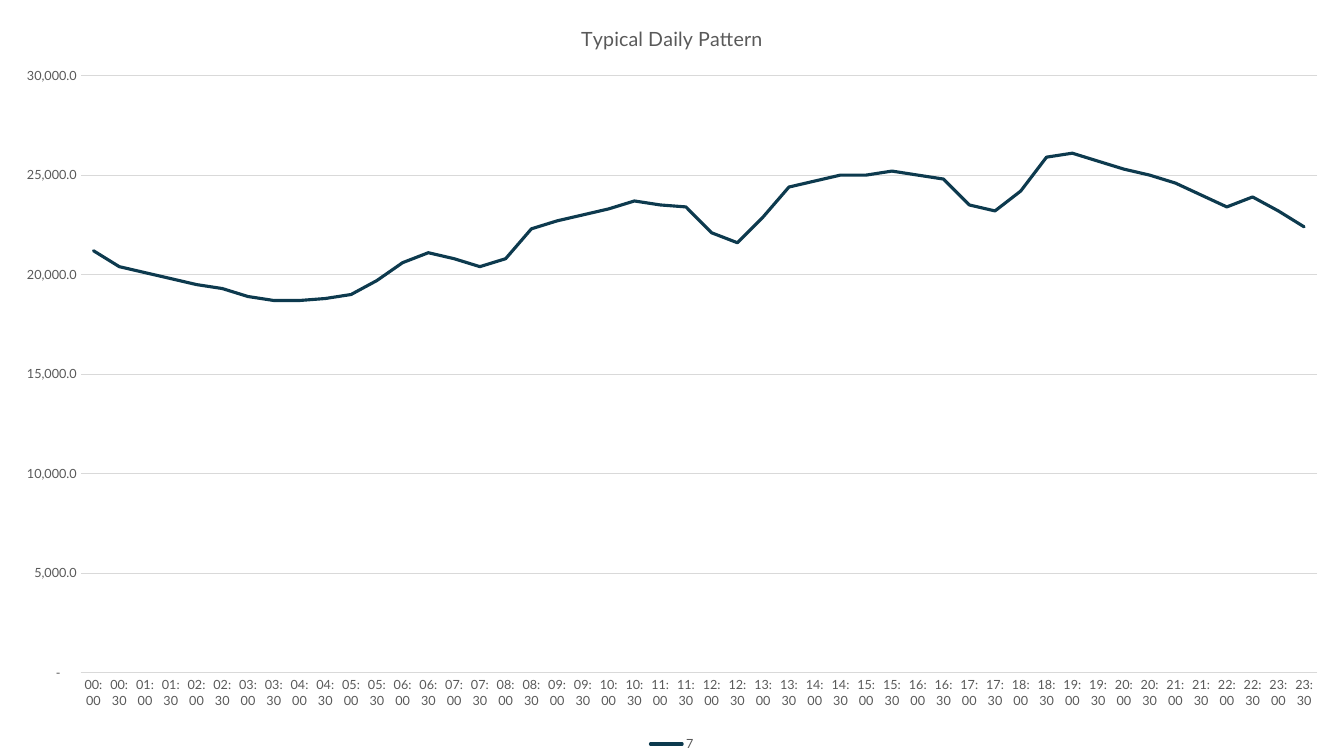
from dataclasses import dataclass

from pptx import Presentation
from pptx.chart.data import CategoryChartData
from pptx.dml.color import RGBColor
from pptx.enum.chart import XL_CHART_TYPE, XL_LEGEND_POSITION, XL_TICK_MARK
from pptx.oxml import parse_xml
from pptx.oxml.ns import nsdecls
from pptx.util import Inches, Pt

LINE_CHART = XL_CHART_TYPE.LINE
LEGEND_BOTTOM = XL_LEGEND_POSITION.BOTTOM
NO_TICK = XL_TICK_MARK.NONE

PAGE_WIDTH, PAGE_HEIGHT = 13.33, 7.5
PLOT_FRAME = {"x": 0.06, "y": 0.10, "w": 0.92, "h": 0.79}
TIMES = [f"{hour:02}:{minute:02}" for hour in range(24) for minute in (0, 30)]
LOADS = [
    21200, 20400, 20100, 19800, 19500, 19300, 18900, 18700,
    18700, 18800, 19000, 19700, 20600, 21100, 20800, 20400,
    20800, 22300, 22700, 23000, 23300, 23700, 23500, 23400,
    22100, 21600, 22900, 24400, 24700, 25000, 25000, 25200,
    25000, 24800, 23500, 23200, 24200, 25900, 26100, 25700,
    25300, 25000, 24600, 24000, 23400, 23900, 23200, 22400,
]


@dataclass(frozen=True)
class Theme:
    font: str = "Lato"
    text: str = "595959"
    grid: str = "D9D9D9"
    series: str = "0D3A4E"
    title_size: float = 14
    label_size: float = 9
    grid_width: float = 0.75
    series_width: float = 2.25


class PageBuilder:
    def __init__(self, page, theme):
        self.page = page
        self.theme = theme

    def style_font(self, font, size):
        font.name = self.theme.font
        font.size = Pt(size)
        font.bold = False
        font.color.rgb = RGBColor.from_string(self.theme.text)

    def style_line(self, line, color, width):
        line.color.rgb = RGBColor.from_string(color)
        line.width = Pt(width)

    def style_axis(self, axis):
        axis.major_tick_mark = NO_TICK
        axis.minor_tick_mark = NO_TICK
        self.style_font(axis.tick_labels.font, self.theme.label_size)

    def place_plot(self, chart, frame):
        plot_area = chart.element.xpath("c:chart/c:plotArea")[0]
        for layout in plot_area.xpath("c:layout"):
            plot_area.remove(layout)
        modes = "".join(f'<c:{side}Mode val="edge"/>' for side in "xy")
        sizes = "".join(f'<c:{key} val="{value}"/>' for key, value in frame.items())
        plot_area.insert(0, parse_xml(
            f'<c:layout {nsdecls("c")}><c:manualLayout><c:layoutTarget val="inner"/>'
            f"{modes}{sizes}</c:manualLayout></c:layout>"))

    def line_chart(self, title, name, categories, values, number_format, maximum, step):
        theme = self.theme
        data = CategoryChartData()
        data.categories = categories
        data.add_series(name, values)
        chart = self.page.shapes.add_chart(
            LINE_CHART, 0, 0, Inches(PAGE_WIDTH), Inches(PAGE_HEIGHT), data).chart
        self.style_font(chart.font, theme.label_size)

        chart.has_title = True
        chart.chart_title.include_in_layout = False
        para = chart.chart_title.text_frame.paragraphs[0]
        span = para.add_run()
        span.text = title
        self.style_font(span.font, theme.title_size)

        chart.has_legend = True
        chart.legend.position = LEGEND_BOTTOM
        chart.legend.include_in_layout = False
        self.style_font(chart.legend.font, theme.label_size)

        category_axis, value_axis = chart.category_axis, chart.value_axis
        self.style_axis(category_axis)
        self.style_line(category_axis.format.line, theme.grid, theme.grid_width)
        self.style_axis(value_axis)
        value_axis.format.line.fill.background()
        value_axis.minimum_scale = 0
        value_axis.maximum_scale = maximum
        value_axis.major_unit = step
        value_axis.has_major_gridlines = True
        self.style_line(value_axis.major_gridlines.format.line, theme.grid, theme.grid_width)
        value_axis.tick_labels.number_format = number_format
        value_axis.tick_labels.number_format_is_linked = False

        plot = chart.plots[0]
        plot.vary_by_categories = False
        series = plot.series[0]
        series.smooth = False
        self.style_line(series.format.line, theme.series, theme.series_width)
        chart.element.xpath(".//c:ser/c:spPr/a:ln")[0].set("cap", "rnd")
        self.place_plot(chart, PLOT_FRAME)


def main():
    deck = Presentation()
    deck.slide_width = Inches(PAGE_WIDTH)
    deck.slide_height = Inches(PAGE_HEIGHT)
    builder = PageBuilder(deck.slides.add_slide(deck.slide_layouts[6]), Theme())
    builder.line_chart(
        "Typical Daily Pattern", "7", TIMES, LOADS,
        number_format='#,##0.0;[Red]\\-#,##0.0;"-"_____;', maximum=30000, step=5000)
    deck.save("out.pptx")


if __name__ == "__main__":
    main()
